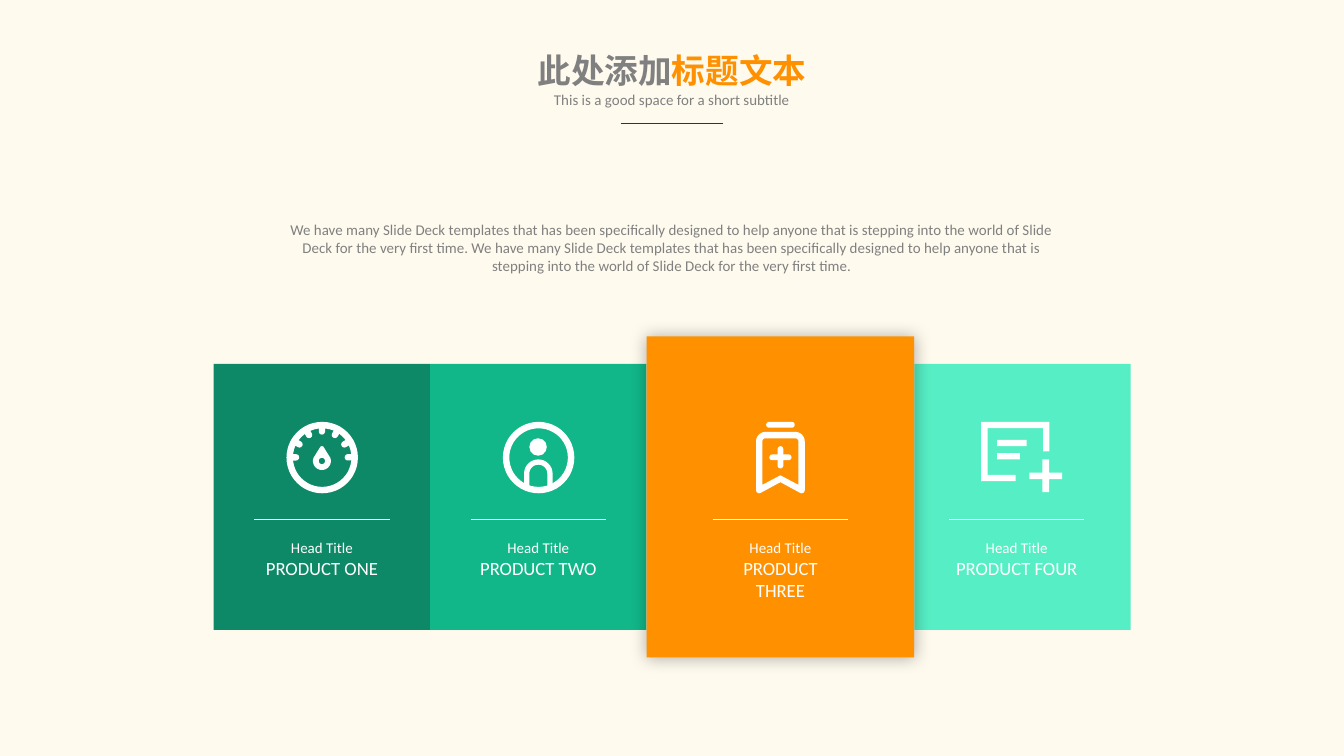
from dataclasses import dataclass
from math import cos, radians, sin

from lxml.etree import SubElement
from pptx import Presentation
from pptx.dml.color import RGBColor
from pptx.enum.shapes import MSO_CONNECTOR, MSO_SHAPE
from pptx.enum.text import MSO_AUTO_SIZE, PP_ALIGN
from pptx.oxml.ns import qn
from pptx.util import Cm, Pt

CREAM = RGBColor(0xFE, 0xFA, 0xEE)
WHITE = RGBColor(0xFF, 0xFF, 0xFF)
GRAY = RGBColor(0x80, 0x80, 0x80)
CHARCOAL = RGBColor(0x33, 0x33, 0x33)
ORANGE = RGBColor(0xFF, 0x91, 0x01)
DARK_GREEN = RGBColor(0x0E, 0x89, 0x67)
GREEN = RGBColor(0x12, 0xB7, 0x89)
MINT = RGBColor(0x56, 0xEE, 0xC4)

INTRO = ("We have many Slide Deck templates that has been specifically designed "
         "to help anyone that is stepping into the world of Slide Deck for the "
         "very first time.")


@dataclass
class Box:
    """A region in centimetres."""
    left: float
    top: float
    width: float
    height: float

    @property
    def center(self):
        return self.left + self.width / 2

    @property
    def middle(self):
        return self.top + self.height / 2


# Basic parts
def add_filled(page, kind, box, color, adjust=None, rotation=0):
    shape = page.shapes.add_shape(
        kind, Cm(box.left), Cm(box.top), Cm(box.width), Cm(box.height))
    shape.shadow.inherit = False
    shape.fill.solid()
    shape.fill.fore_color.rgb = color
    shape.line.fill.background()
    shape.rotation = rotation
    if adjust is not None:
        shape.adjustments[0] = adjust
    return shape


def add_outline(page, x, y, *contours):
    """White freeform; contour points are relative to (x, y)."""
    builder = None
    for contour in contours:
        points = [(Cm(x + dx), Cm(y + dy)) for dx, dy in contour]
        if builder is None:
            builder = page.shapes.build_freeform(*points[0], scale=1.0)
        else:
            builder.move_to(*points[0])
        builder.add_line_segments(points[1:], close=True)
    shape = builder.convert_to_shape()
    shape.shadow.inherit = False
    shape.fill.solid()
    shape.fill.fore_color.rgb = WHITE
    shape.line.fill.background()


def arc(x, y, radius, start, end, steps=16):
    angles = [radians(start + (end - start) * i / steps) for i in range(steps + 1)]
    return [(x + radius * cos(a), y + radius * sin(a)) for a in angles]


def add_rule(page, center, y, width, color):
    rule = page.shapes.add_connector(
        MSO_CONNECTOR.STRAIGHT, Cm(center - width / 2), Cm(y),
        Cm(center + width / 2), Cm(y))
    rule.line.color.rgb = color
    rule.line.width = Pt(0.5)
    SubElement(rule._element.spPr, qn("a:effectLst"))


def add_text(page, box, paragraphs, wrap=False, inset=None, bold=False):
    """Each paragraph is a list of (text, size, color) spans."""
    frame = page.shapes.add_textbox(
        Cm(box.left), Cm(box.top), Cm(box.width), Cm(box.height)).text_frame
    frame.word_wrap = wrap
    frame.auto_size = MSO_AUTO_SIZE.SHAPE_TO_FIT_TEXT
    if inset is not None:
        frame.margin_left = frame.margin_right = Cm(inset)
        frame.margin_top = frame.margin_bottom = Cm(inset)
    for i, spans in enumerate(paragraphs):
        para = frame.add_paragraph() if i else frame.paragraphs[0]
        para.alignment = PP_ALIGN.CENTER
        for text, size, color in spans:
            span = para.add_run()
            span.text = text
            span.font.name = "Calibri"
            span.font.size = Pt(size)
            span.font.bold = bold
            span.font.color.rgb = color


# Icons: x is the centre, y the top
def add_ring(page, x, y):
    add_filled(page, MSO_SHAPE.DONUT, Box(x - 0.67, y, 1.35, 1.35), WHITE, 0.09)


def draw_gauge(page, x, y):
    add_ring(page, x, y)
    for angle in range(180, 361, 30):
        tick_x = x + 0.54 * cos(radians(angle))
        tick_y = y + 0.67 + 0.54 * sin(radians(angle))
        add_filled(page, MSO_SHAPE.ROUNDED_RECTANGLE,
                   Box(tick_x - 0.11, tick_y - 0.06, 0.22, 0.12),
                   WHITE, 0.5, angle)
    drop = arc(0, 0.74, 0.17, -20, 200) + arc(0, 0.5, 0.04, 210, 330)
    add_outline(page, x, y, drop, arc(0, 0.74, 0.06, 0, 360))


def draw_person(page, x, y):
    add_ring(page, x, y)
    add_filled(page, MSO_SHAPE.OVAL, Box(x - 0.17, y + 0.31, 0.33, 0.33), WHITE)
    body = [(-0.27, 1.2), *arc(0, 0.98, 0.27, 180, 360), (0.27, 1.2),
            (0.17, 1.24), *arc(0, 0.98, 0.17, 360, 180), (-0.17, 1.24)]
    add_outline(page, x, y, body)


def draw_bookmark(page, x, y):
    add_filled(page, MSO_SHAPE.ROUNDED_RECTANGLE,
               Box(x - 0.27, y, 0.54, 0.11), WHITE, 0.5)
    outer = [*arc(-0.28, 0.37, 0.18, 180, 270), *arc(0.28, 0.37, 0.18, 270, 360),
             *arc(0.4, 1.29, 0.06, 0, 110), (0, 1.14),
             *arc(-0.4, 1.29, 0.06, 70, 180)]
    inner = [*arc(-0.28, 0.37, 0.06, 180, 270), *arc(0.28, 0.37, 0.06, 270, 360),
             (0.34, 1.19), (0, 1.01), (-0.34, 1.19)]
    add_outline(page, x, y, outer, inner)
    for width, height in ((0.42, 0.11), (0.11, 0.42)):
        add_filled(page, MSO_SHAPE.ROUNDED_RECTANGLE,
                   Box(x - width / 2, y + 0.67 - height / 2, width, height),
                   WHITE, 0.5)


def draw_note(page, x, y):
    add_outline(page, x, y, [
        (-0.66, 0.12), (0.39, 0.12), (0.39, 0.56), (0.51, 0.56), (0.51, 0),
        (-0.78, 0), (-0.78, 1.12), (-0.13, 1.12), (-0.13, 1), (-0.66, 1)])
    add_filled(page, MSO_SHAPE.CROSS, Box(x + 0.13, y + 0.71, 0.62, 0.62),
               WHITE, 0.4)
    for top, width in ((0.34, 0.56), (0.59, 0.43)):
        add_filled(page, MSO_SHAPE.RECTANGLE,
                   Box(x - 0.48, y + top, width, 0.12), WHITE)


# Regions
def add_heading(page, box):
    add_text(page, Box(box.left, box.top, box.width, 1.02),
             [[("此处添加", 18, GRAY), ("标题文本", 18, ORANGE)]], bold=True)
    add_text(page, Box(box.left, box.top + 0.77, box.width, 0.6),
             [[("This is a good space for a short subtitle", 8, GRAY)]])
    add_rule(page, box.center, box.top + box.height, 1.93, CHARCOAL)


def add_card(page, box, name, color, draw_icon, raised=False, shift=0):
    card = add_filled(page, MSO_SHAPE.RECTANGLE, box, color)
    if raised:
        effects = card._element.spPr.find(qn("a:effectLst"))
        shadow = SubElement(effects, qn("a:outerShdw"), blurRad=str(Pt(9)),
                            dist="0", dir="2700000", algn="ctr", rotWithShape="0")
        black = SubElement(shadow, qn("a:srgbClr"), val="000000")
        SubElement(black, qn("a:alpha"), val="30000")
    draw_icon(page, box.center, box.middle - 1.42)
    center = box.center + shift
    add_rule(page, center, box.middle + 0.43, 2.56, WHITE)
    add_text(page, Box(center - 1.4, box.middle + 0.66, 2.8, 1.02),
             [[("Head Title", 8, WHITE)], [(name, 10, WHITE)]])


def add_cards(page, box):
    side, featured = 4.09, 5.06
    lefts = [box.left, box.left + side, box.left + 2 * side,
             box.left + 2 * side + featured]
    boxes = [Box(left, box.top, side, box.height) for left in lefts]
    boxes[2] = Box(lefts[2], box.top - 0.52, featured, box.height + 1.04)
    add_card(page, boxes[0], "PRODUCT ONE", DARK_GREEN, draw_gauge)
    add_card(page, boxes[1], "PRODUCT TWO", GREEN, draw_person)
    add_card(page, boxes[3], "PRODUCT FOUR", MINT, draw_note, shift=-0.11)
    # The raised card goes last so that its shadow falls on its neighbours
    add_card(page, boxes[2], "PRODUCT THREE", ORANGE, draw_bookmark, raised=True)


def main():
    deck = Presentation()
    deck.slide_width, deck.slide_height = Cm(25.4), Cm(14.29)
    page = deck.slides.add_slide(deck.slide_layouts[6])
    page.background.fill.solid()
    page.background.fill.fore_color.rgb = CREAM
    add_heading(page, Box(9.85, 0.81, 5.7, 1.53))
    add_text(page, Box(5.3, 4.17, 14.8, 1.02),
             [[(f"{INTRO} {INTRO}", 8, GRAY)]], wrap=True, inset=0)
    add_cards(page, Box(4.04, 6.88, 17.33, 5.03))
    deck.save("out.pptx")


if __name__ == "__main__":
    main()
